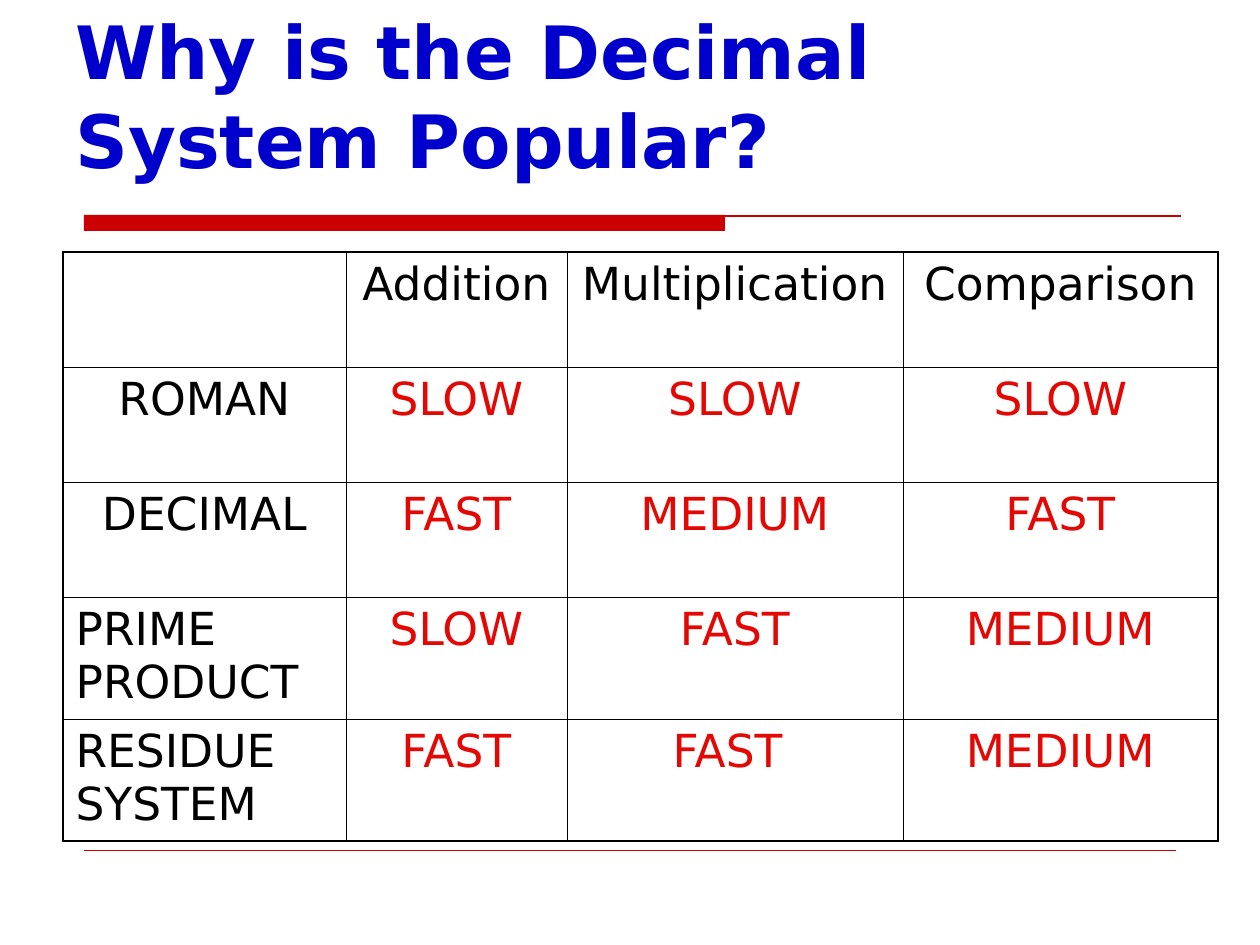
import pptx
import pptx.util
import pptx.dml.color
import pptx.enum.shapes
import pptx.enum.text
import pptx.oxml.ns
import lxml.etree

PX = 914400 / 126
FONT = "DejaVu Sans"
COLORS = {"title": "0000CC", "rule": "CC0000", "label": "000000",
          "rating": "E30803", "border": "000000"}
COLUMNS = [283, 221, 336, 315]
ROWS = [115, 115, 115, 122, 122]
RATINGS = [
    ["", "Addition", "Multiplication", "Comparison"],
    ["ROMAN", "SLOW", "SLOW", "SLOW"],
    ["DECIMAL", "FAST", "MEDIUM", "FAST"],
    ["PRIME PRODUCT", "SLOW", "FAST", "MEDIUM"],
    ["RESIDUE SYSTEM", "FAST", "FAST ", "MEDIUM"],
]
THIN, THICK = 0.45, 1.08


def px(n):
    return pptx.util.Emu(round(n * PX))


def rgb(name):
    return pptx.dml.color.RGBColor.from_string(COLORS[name])


def add_run(p, text, color, **font):
    r = p.add_run()
    r.text = text
    r.font.color.rgb = rgb(color)
    for name, value in {"name": FONT, **font}.items():
        setattr(r.font, name, value)


def add_title(s, text, *box):
    tf = s.shapes.add_textbox(*map(px, box)).text_frame
    tf.word_wrap = True
    tf.vertical_anchor = pptx.enum.text.MSO_ANCHOR.BOTTOM
    add_run(tf.paragraphs[0], text, "title", size=pptx.util.Pt(42), bold=True)


def add_bar(s, *box):
    sp = s.shapes.add_shape(pptx.enum.shapes.MSO_SHAPE.RECTANGLE, *map(px, box))
    sp.shadow.inherit = False
    sp.fill.solid()
    sp.fill.fore_color.rgb = rgb("rule")
    sp.line.fill.background()


def add_rule(s, x1, x2, y, width):
    line = s.shapes.add_connector(pptx.enum.shapes.MSO_CONNECTOR.STRAIGHT,
                                  px(x1), px(y), px(x2), px(y))
    line.line.color.rgb = rgb("rule")
    line.line.width = pptx.util.Pt(width)
    lxml.etree.SubElement(line._element.spPr, pptx.oxml.ns.qn("a:effectLst"))


def set_border(cell, side, width):
    qn = pptx.oxml.ns.qn
    ln = lxml.etree.SubElement(cell._tc.get_or_add_tcPr(), qn("a:ln" + side),
                               w=str(pptx.util.Pt(width)))
    fill = lxml.etree.SubElement(ln, qn("a:solidFill"))
    lxml.etree.SubElement(fill, qn("a:srgbClr"), val=COLORS["border"])


def fill_cell(cell, text, row, col):
    outer = {"L": col == 0, "R": col == len(COLUMNS) - 1,
             "T": row == 0, "B": row == len(ROWS) - 1}
    for side, is_outer in outer.items():
        set_border(cell, side, THICK if is_outer else THIN)
    cell.fill.background()
    if not text:
        return
    p = cell.text_frame.paragraphs[0]
    p.space_before = pptx.util.Pt(6.5)
    wraps = col == 0 and " " in text
    align = pptx.enum.text.PP_ALIGN
    p.alignment = align.LEFT if wraps else align.CENTER
    color = "rating" if row and col else "label"
    add_run(p, text, color, size=pptx.util.Pt(26))


def add_ratings_table(s, x, y):
    table = s.shapes.add_table(len(ROWS), len(COLUMNS), px(x), px(y),
                               px(sum(COLUMNS)), px(sum(ROWS))).table
    table.first_row = table.horz_banding = False
    for column, width in zip(table.columns, COLUMNS):
        column.width = px(width)
    for row, height in zip(table.rows, ROWS):
        row.height = px(height)
    for i, texts in enumerate(RATINGS):
        for j, text in enumerate(texts):
            fill_cell(table.cell(i, j), text, i, j)


def main():
    prs = pptx.Presentation()
    prs.slide_width, prs.slide_height = px(1260), px(945)
    s = prs.slides.add_slide(prs.slide_layouts[6])
    add_bar(s, 84, 215, 641, 16)
    add_rule(s, 84, 1181, 216, 0.75)
    add_rule(s, 84, 1176, 850, 0.25)
    add_title(s, "Why is the Decimal System Popular?", 63, 21, 1134, 168)
    add_ratings_table(s, 63, 252)
    prs.save("out.pptx")


if __name__ == "__main__":
    main()
